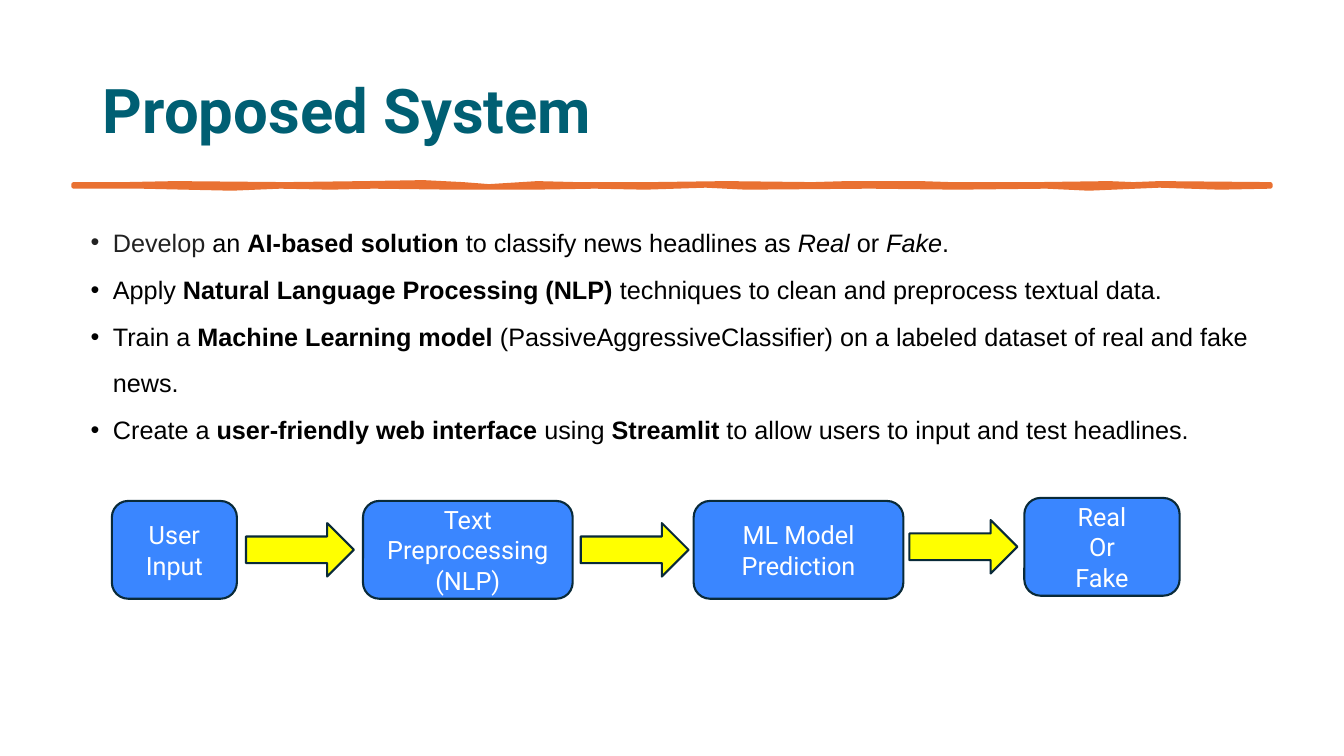
import pptx
import pptx.util
import pptx.dml.color
import pptx.enum.shapes
import pptx.enum.text
import pptx.oxml.ns
from lxml import etree

Inches, Pt = pptx.util.Inches, pptx.util.Pt
RGBColor = pptx.dml.color.RGBColor
Shape = pptx.enum.shapes.MSO_SHAPE
Anchor = pptx.enum.text.MSO_ANCHOR
Align = pptx.enum.text.PP_ALIGN

TEAL = RGBColor(0x00, 0x5F, 0x73)
ORANGE = RGBColor(0xE9, 0x71, 0x32)
BLUE = RGBColor(0x3A, 0x86, 0xFF)
YELLOW = RGBColor(0xFF, 0xFF, 0x00)
NAVY = RGBColor(0x09, 0x2A, 0x39)
WHITE = RGBColor(0xFF, 0xFF, 0xFF)
BLACK = RGBColor(0x00, 0x00, 0x00)
CHARCOAL = RGBColor(0x22, 0x22, 0x22)

PLAIN, BOLD, ITALIC, SOFT = "plain", "bold", "italic", "soft"

BULLETS = [
    [("Develop ", SOFT), ("an ", PLAIN), ("AI-based solution", BOLD),
     (" to classify news headlines as ", PLAIN), ("Real", ITALIC),
     (" or ", PLAIN), ("Fake", ITALIC), (".", PLAIN)],
    [("Apply ", PLAIN), ("Natural Language Processing (NLP)", BOLD),
     (" techniques to clean and preprocess textual data.", PLAIN)],
    [("Train a ", PLAIN), ("Machine Learning model", BOLD),
     (" (PassiveAggressiveClassifier) on a labeled dataset of real and fake news.", PLAIN)],
    [("Create a ", PLAIN), ("user-friendly web interface", BOLD), (" using ", PLAIN),
     ("Streamlit", BOLD), (" to allow users to input and test headlines.", PLAIN)],
]

# Text, left, top and width of each step
STEPS = [
    ("User Input", 1.11, 4.97, 1.24),
    ("Text Preprocessing (NLP)", 3.6, 4.97, 2.08),
    ("ML Model Prediction", 6.88, 4.97, 2.08),
    ("Real\nOr\nFake", 10.16, 4.94, 1.54),
]
STEP_HEIGHT = 0.97
ARROWS = [(2.44, 5.19), (5.76, 5.19), (9.02, 5.16)]

# Upper edge of the hand-drawn rule, then its lower edge going back
RULE_OUTLINE = [
    (0.73, 1.83), (1.24, 1.83), (1.74, 1.82), (2.84, 1.83), (3.61, 1.82), (4.2, 1.81),
    (4.59, 1.83), (4.85, 1.85), (5.33, 1.82), (5.72, 1.83), (6.46, 1.83), (7.2, 1.82),
    (8.06, 1.83), (8.4, 1.82), (9.13, 1.82), (9.43, 1.83), (10.29, 1.83), (11.0, 1.82),
    (11.24, 1.83), (11.5, 1.82), (12.6, 1.83),
    (12.6, 1.85), (12.1, 1.86), (11.5, 1.84), (10.8, 1.87), (10.38, 1.85), (9.5, 1.86),
    (8.63, 1.85), (7.4, 1.86), (7.0, 1.84), (6.4, 1.86), (5.9, 1.85), (5.3, 1.86),
    (4.5, 1.86), (3.7, 1.85), (3.28, 1.86), (2.78, 1.85), (2.3, 1.87), (1.4, 1.85),
    (0.73, 1.85),
]


class SlideBuilder:
    def __init__(self, slide):
        self.slide = slide
        self.heading_font = "Roboto"
        self.body_font = "Arial"
        self.text_size = Pt(18)

    def place(self, shape, left, top, width, height):
        shape.left, shape.top = Inches(left), Inches(top)
        shape.width, shape.height = Inches(width), Inches(height)

    def paint(self, shape, fill, line, weight):
        shape.shadow.inherit = False
        shape.fill.solid()
        shape.fill.fore_color.rgb = fill
        shape.line.color.rgb = line
        shape.line.width = Pt(weight)

    def title(self, text):
        shape = self.slide.shapes.title
        self.place(shape, 0.92, 0.4, 11.5, 1.45)
        frame = shape.text_frame
        frame.text = text
        frame.vertical_anchor = Anchor.MIDDLE
        paragraph = frame.paragraphs[0]
        paragraph.alignment = Align.LEFT
        paragraph.line_spacing = 0.9
        font = paragraph.font
        font.name, font.size, font.bold = self.heading_font, Pt(44), True
        font.color.rgb = TEAL

    def rule(self, outline):
        points = [(Inches(x), Inches(y)) for x, y in outline]
        builder = self.slide.shapes.build_freeform(*points[0])
        builder.add_line_segments(points[1:], close=True)
        self.paint(builder.convert_to_shape(), ORANGE, ORANGE, 3.25)

    def bullets(self, items):
        shape = self.slide.placeholders[1]
        self.place(shape, 0.8, 2.05, 11.87, 2.68)
        frame = shape.text_frame
        frame.vertical_anchor = Anchor.TOP
        for index, segments in enumerate(items):
            paragraph = frame.add_paragraph() if index else frame.paragraphs[0]
            self.add_bullet(paragraph)
            paragraph.line_spacing = 1.5
            paragraph.space_before = Pt(1.5 if index else 0)
            font = paragraph.font
            font.name, font.size = self.body_font, self.text_size
            font.color.rgb = BLACK
            for text, style in segments:
                run = paragraph.add_run()
                run.text = text
                if style == BOLD:
                    run.font.bold = True
                elif style == ITALIC:
                    run.font.italic = True
                elif style == SOFT:
                    run.font.color.rgb = CHARCOAL

    def add_bullet(self, paragraph):
        properties = paragraph._p.get_or_add_pPr()
        properties.set("marL", str(Inches(0.22)))
        properties.set("indent", str(-Inches(0.22)))
        bullet = etree.SubElement(properties, pptx.oxml.ns.qn("a:buChar"))
        bullet.set("char", "•")

    def step(self, text, left, top, width):
        shape = self.slide.shapes.add_shape(
            Shape.ROUNDED_RECTANGLE, Inches(left), Inches(top),
            Inches(width), Inches(STEP_HEIGHT))
        self.paint(shape, BLUE, NAVY, 1.5)
        frame = shape.text_frame
        frame.word_wrap = True
        frame.vertical_anchor = Anchor.MIDDLE
        frame.text = text
        for paragraph in frame.paragraphs:
            paragraph.alignment = Align.CENTER
            font = paragraph.font
            font.name, font.size = self.heading_font, self.text_size
            font.color.rgb = WHITE

    def arrow(self, left, top):
        shape = self.slide.shapes.add_shape(
            Shape.RIGHT_ARROW, Inches(left), Inches(top), Inches(1.07), Inches(0.53))
        self.paint(shape, YELLOW, NAVY, 1.5)


def main():
    presentation = pptx.Presentation()
    presentation.slide_width = Inches(13.33)
    presentation.slide_height = Inches(7.5)
    slide = presentation.slides.add_slide(presentation.slide_layouts[1])
    builder = SlideBuilder(slide)
    builder.title("Proposed System")
    builder.rule(RULE_OUTLINE)
    builder.bullets(BULLETS)
    for step in STEPS:
        builder.step(*step)
    for arrow in ARROWS:
        builder.arrow(*arrow)
    presentation.save("out.pptx")


if __name__ == "__main__":
    main()
